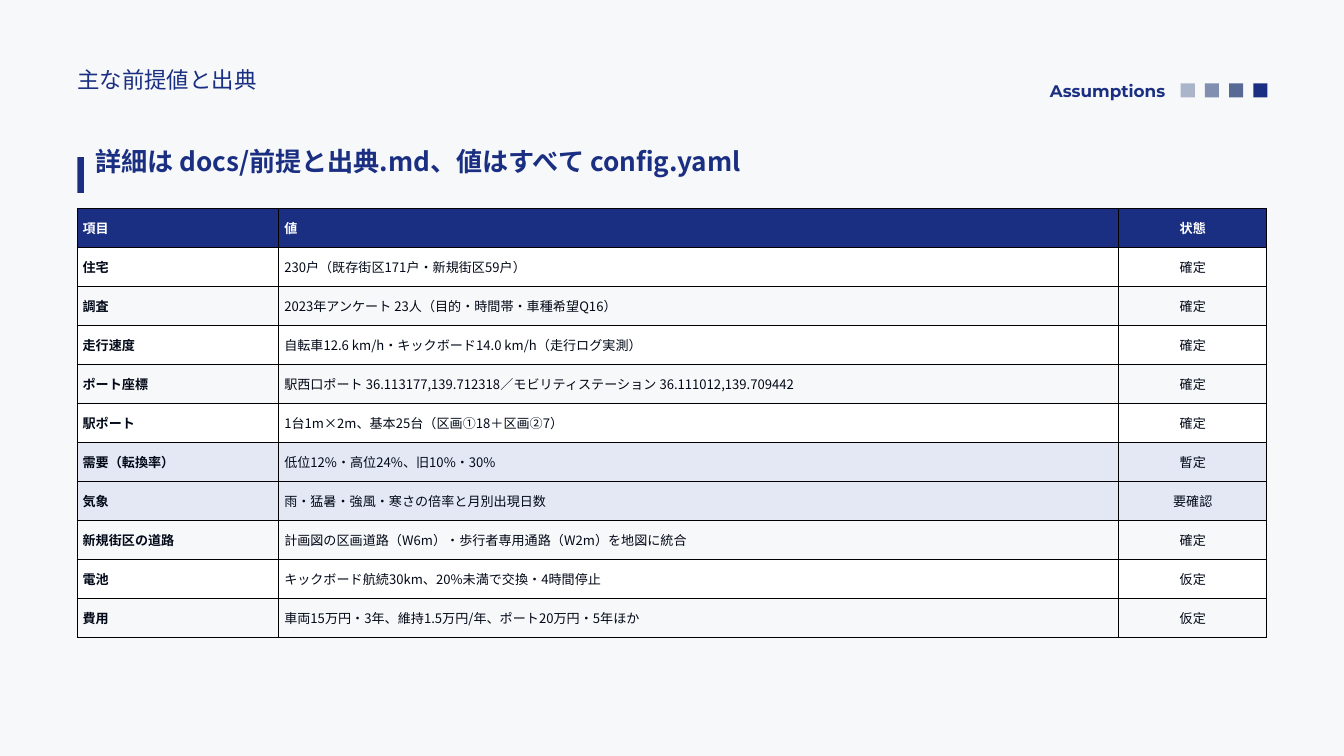
import pptx
import pptx.dml.color
import pptx.enum.shapes
import pptx.enum.text
import pptx.oxml
import pptx.oxml.ns
import pptx.util
from dataclasses import dataclass

Inches = pptx.util.Inches
Pt = pptx.util.Pt
Rgb = pptx.dml.color.RGBColor.from_string
Align = pptx.enum.text.PP_ALIGN
Anchor = pptx.enum.text.MSO_ANCHOR
Fit = pptx.enum.text.MSO_AUTO_SIZE
Shape = pptx.enum.shapes.MSO_SHAPE


@dataclass
class Theme:
    navy: str = "1A2F81"
    ink: str = "010817"
    white: str = "FFFFFF"
    pale: str = "F7F8F9"
    mark: str = "E3E8F4"
    rule: str = "000000"
    fade: tuple = ("ABB5CA", "808FB0", "566A95", "1A2F81")
    sans: str = "Noto Sans CJK JP"
    latin: str = "Montserrat"
    head: int = 28
    title: int = 24
    label: int = 18
    cell: int = 14


theme = Theme()


def write(frame, text, size, color, bold=False, face=theme.sans, align=Align.LEFT):
    frame.text = text
    para = frame.paragraphs[0]
    para.alignment = align
    font = para.font
    font.name, font.size, font.bold = face, Pt(size), bold
    font.color.rgb = Rgb(color)
    props = para._p.pPr.find(pptx.oxml.ns.qn("a:defRPr"))
    east = pptx.oxml.parse_xml(f'<a:ea {pptx.oxml.ns.nsdecls("a")} typeface="{face}"/>')
    props.find(pptx.oxml.ns.qn("a:latin")).addnext(east)
    return para


def block(left, top, width, height, color):
    box = slide.shapes.add_shape(
        Shape.RECTANGLE, Inches(left), Inches(top), Inches(width), Inches(height))
    box.shadow.inherit = False
    box.fill.solid()
    box.fill.fore_color.rgb = Rgb(color)
    box.line.fill.background()


deck = pptx.Presentation()
deck.slide_width, deck.slide_height = Inches(20), Inches(11.25)
slide = deck.slides.add_slide(deck.slide_layouts[5])
slide.background.fill.solid()
slide.background.fill.fore_color.rgb = Rgb(theme.pale)

block(1.15, 2.34, 0.1, 0.53, theme.navy)
for i, color in enumerate(theme.fade):
    block(17.57 + 0.36 * i, 1.24, 0.21, 0.21, color)

title = slide.shapes.title
head, label = [slide.shapes.add_textbox(0, 0, 0, 0) for _ in range(2)]
texts = [
    (title, (1.15, 0.91, 8.85, 0.63), "主な前提値と出典",
     theme.title, False, theme.sans, Align.LEFT),
    (head, (1.42, 2.09, 17.4, 0.75), "詳細は docs/前提と出典.md、値はすべて config.yaml",
     theme.head, True, theme.sans, Align.LEFT),
    (label, (10.03, 1.15, 7.31, 0.34), "Assumptions",
     theme.label, True, theme.latin, Align.RIGHT),
]
for box, place, text, size, bold, face, align in texts:
    box.left, box.top, box.width, box.height = map(Inches, place)
    frame = box.text_frame
    frame.margin_left = frame.margin_right = frame.margin_top = frame.margin_bottom = 0
    frame.word_wrap = True
    frame.auto_size = Fit.SHAPE_TO_FIT_TEXT
    frame.vertical_anchor = Anchor.TOP
    para = write(frame, text, size, theme.navy, bold, face, align)
    para.line_spacing = Pt(size * 1.4)

rows = [
    ("項目", "値", "状態"),
    ("住宅", "230戸（既存街区171戸・新規街区59戸）", "確定"),
    ("調査", "2023年アンケート 23人（目的・時間帯・車種希望Q16）", "確定"),
    ("走行速度", "自転車12.6 km/h・キックボード14.0 km/h（走行ログ実測）", "確定"),
    ("ポート座標",
     "駅西口ポート 36.113177,139.712318／モビリティステーション 36.111012,139.709442", "確定"),
    ("駅ポート", "1台1m×2m、基本25台（区画①18＋区画②7）", "確定"),
    ("需要（転換率）", "低位12%・高位24%、旧10%・30%", "暫定"),
    ("気象", "雨・猛暑・強風・寒さの倍率と月別出現日数", "要確認"),
    ("新規街区の道路", "計画図の区画道路（W6m）・歩行者専用通路（W2m）を地図に統合", "確定"),
    ("電池", "キックボード航続30km、20%未満で交換・4時間停止", "仮定"),
    ("費用", "車両15万円・3年、維持1.5万円/年、ポート20万円・5年ほか", "仮定"),
]
widths = (3, 12.5, 2.2)
table = slide.shapes.add_table(
    len(rows), len(widths), Inches(1.15), Inches(3.1),
    Inches(sum(widths)), Inches(0.58 * len(rows))).table
for col, width in zip(table.columns, widths):
    col.width = Inches(width)

for r, row in enumerate(rows):
    table.rows[r].height = Inches(0.58)
    if r == 0:
        fill = theme.navy
    elif row[2] in ("暫定", "要確認"):
        fill = theme.mark
    else:
        fill = theme.white if r % 2 else theme.pale
    for c, text in enumerate(row):
        cell = table.cell(r, c)
        cell.margin_left = cell.margin_right = Inches(0.08)
        cell.margin_top = cell.margin_bottom = Inches(0.03)
        cell.vertical_anchor = Anchor.MIDDLE
        for side in "LRTB":
            cell._tc.get_or_add_tcPr().append(pptx.oxml.parse_xml(
                f'<a:ln{side} {pptx.oxml.ns.nsdecls("a")} w="{Pt(1)}"><a:solidFill>'
                f'<a:srgbClr val="{theme.rule}"/></a:solidFill></a:ln{side}>'))
        cell.fill.solid()
        cell.fill.fore_color.rgb = Rgb(fill)
        write(cell.text_frame, text, theme.cell, theme.ink if r else theme.white,
              r == 0 or c == 0, align=Align.CENTER if c == 2 else Align.LEFT)

deck.save("out.pptx")
